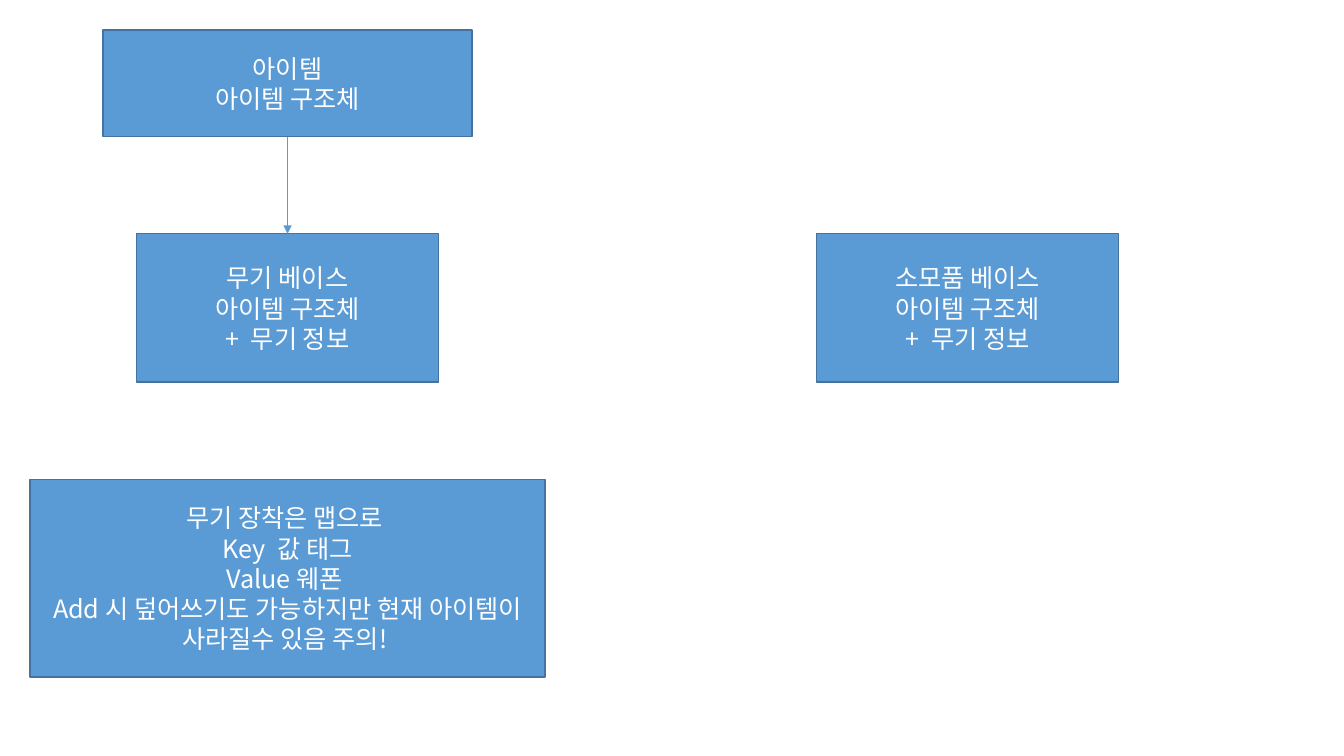
from pptx import Presentation
from pptx.dml.color import RGBColor
from pptx.enum import shapes, text
from pptx.oxml.ns import qn
from pptx.util import Pt
from lxml import etree

# Content: name -> (centre x, top, width, height, lines), in points
LEFT_X, RIGHT_X = 205.4, 691.2
BASE_Y, BASE_W, BASE_H = 167, 216, 106
BOXES = {
    "item": (LEFT_X, 21.4, 263.5, 76.2, ["아이템", "아이템 구조체"]),
    "weapon": (LEFT_X, BASE_Y, BASE_W, BASE_H,
               ["무기 베이스", "아이템 구조체", "+  무기 정보"]),
    "equip": (LEFT_X, 342.5, 368, 141,
              ["무기 장착은 맵으로 ", "Key  값 태그", "Value 웨폰 ",
               "Add 시 덮어쓰기도 가능하지만 현재 아이템이 사라질수 있음 주의! "]),
    "consumable": (RIGHT_X, BASE_Y, BASE_W, BASE_H,
                   ["소모품 베이스", "아이템 구조체", "+  무기 정보"]),
}
ARROWS = [("item", "weapon")]

FONT = "Noto Sans CJK KR"
BLUE = RGBColor(0x5B, 0x9B, 0xD5)
EDGE = RGBColor(0x43, 0x73, 0x9E)
WHITE = RGBColor(0xFF, 0xFF, 0xFF)
BOTTOM, TOP = 2, 0  # connection sites of a rectangle


def add_box(s, center, top, width, height, lines):
    sp = s.shapes.add_shape(shapes.MSO_SHAPE.RECTANGLE, Pt(center - width / 2),
                            Pt(top), Pt(width), Pt(height))
    sp.shadow.inherit = False
    sp.fill.solid()
    sp.fill.fore_color.rgb = BLUE
    sp.line.color.rgb = EDGE
    sp.line.width = Pt(1)
    tf = sp.text_frame
    tf.word_wrap = True
    tf.vertical_anchor = text.MSO_ANCHOR.MIDDLE
    tf.text = "\n".join(lines)
    for p in tf.paragraphs:
        p.alignment = text.PP_ALIGN.CENTER
        for r in p.runs:
            r.font.size = Pt(18)
            r.font.name = FONT
            r.font.color.rgb = WHITE
            # Korean letters take the East Asian typeface
            etree.SubElement(r.font._element, qn("a:ea"), typeface=FONT)
    return sp


def add_arrow(s, upper, lower):
    c = s.shapes.add_connector(shapes.MSO_CONNECTOR.STRAIGHT, 0, 0, 0, 0)
    c.begin_connect(upper, BOTTOM)
    c.end_connect(lower, TOP)
    c.line.color.rgb = BLUE
    c.line.width = Pt(0.5)
    etree.SubElement(c.line._get_or_add_ln(), qn("a:tailEnd"), type="triangle")
    etree.SubElement(c._element.spPr, qn("a:effectLst"))


def main():
    prs = Presentation()
    prs.slide_width, prs.slide_height = Pt(960), Pt(540)
    s = prs.slides.add_slide(prs.slide_layouts[6])

    # Boxes, then the arrows between them
    boxes = {name: add_box(s, *box) for name, box in BOXES.items()}
    for upper, lower in ARROWS:
        add_arrow(s, boxes[upper], boxes[lower])

    prs.save("out.pptx")


if __name__ == "__main__":
    main()
